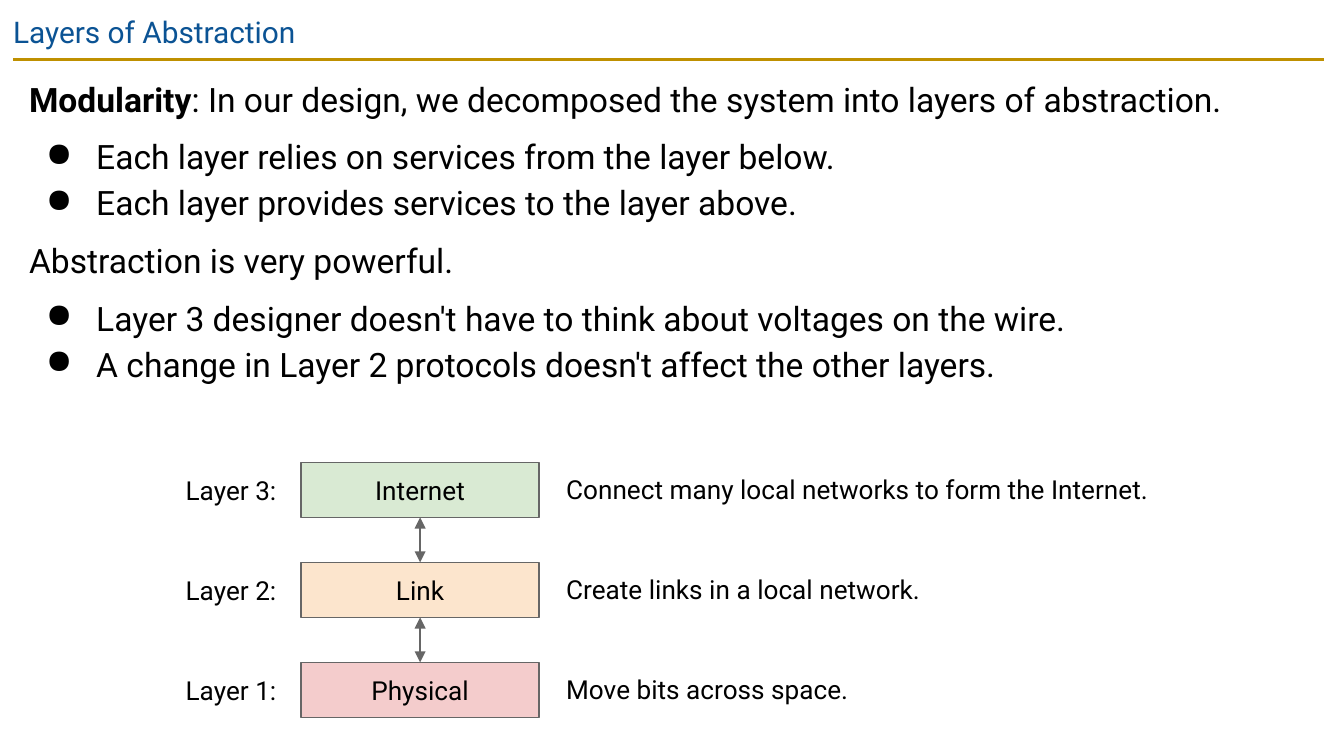
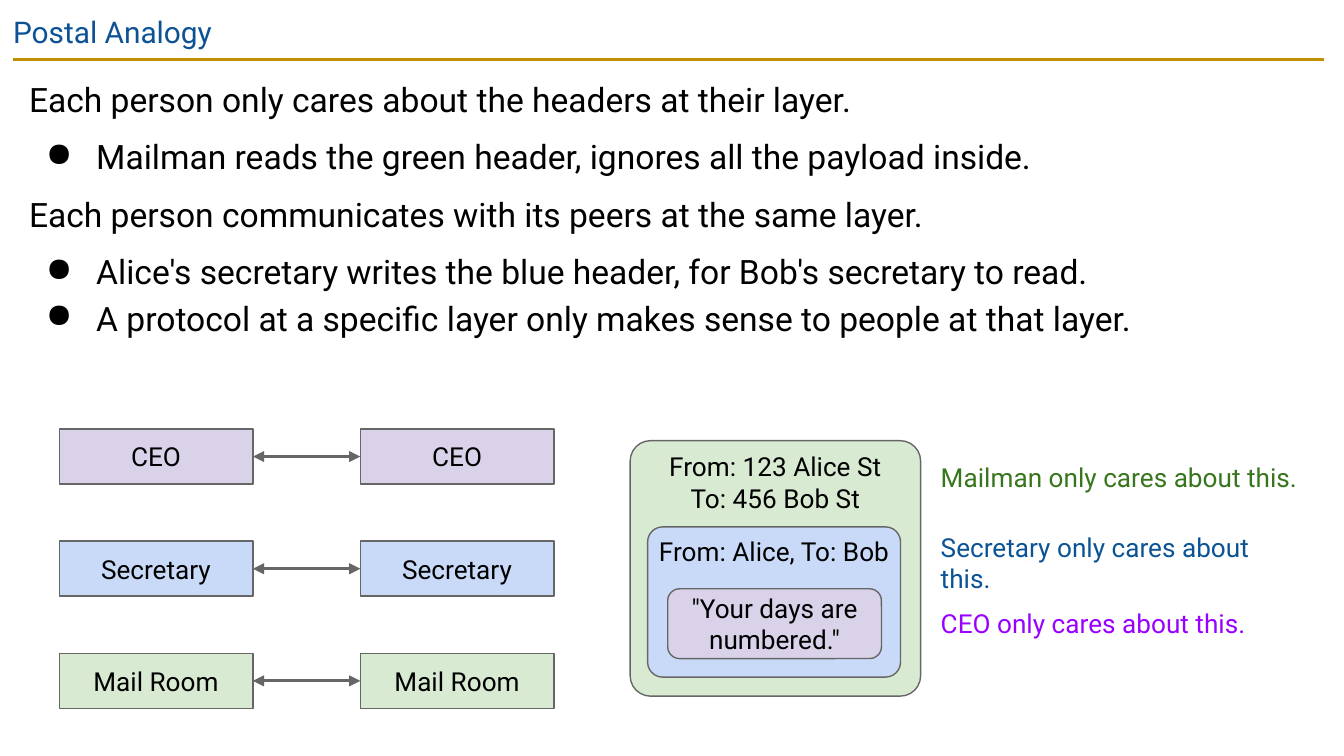
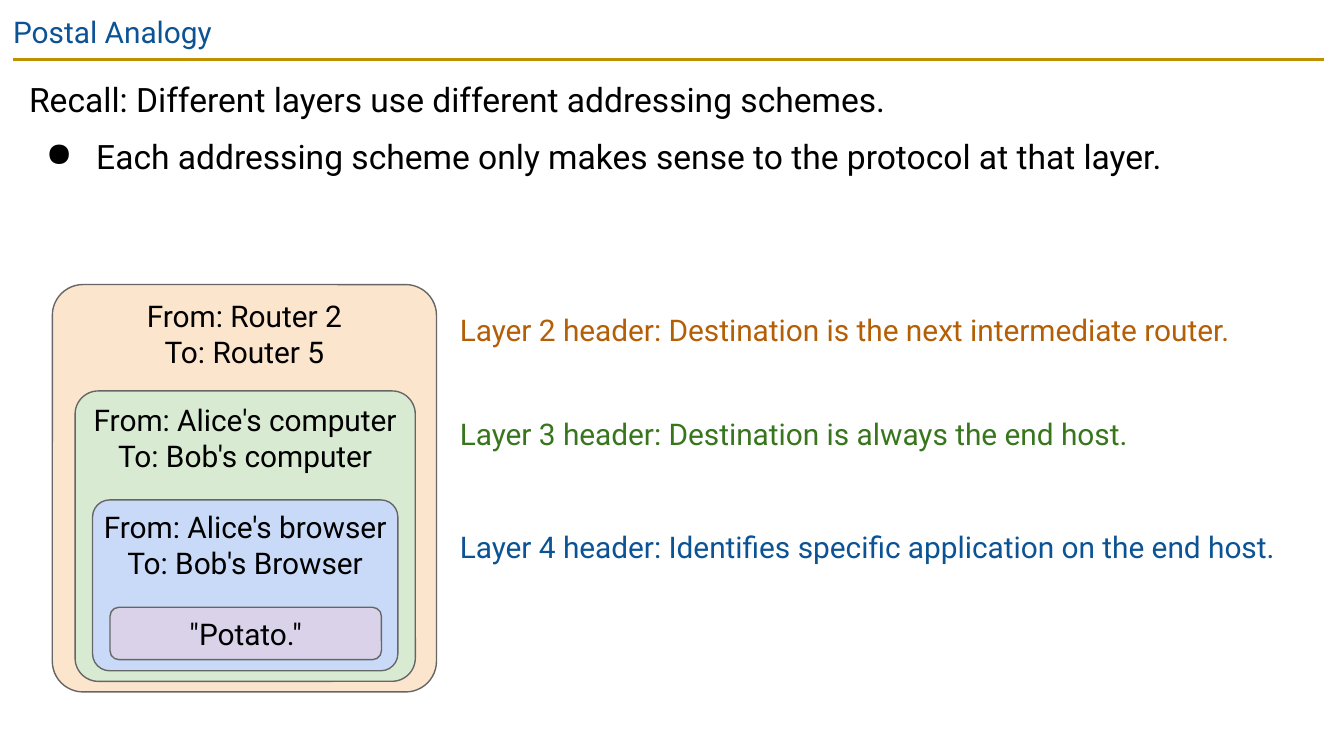
from lxml.etree import SubElement as Sub
from pptx import Presentation
from pptx.dml.color import RGBColor as Rgb
from pptx.enum.shapes import MSO_CONNECTOR as Link, MSO_SHAPE as Shape
from pptx.enum.text import MSO_ANCHOR as Anchor, PP_ALIGN as Align
from pptx.oxml.ns import qn
from pptx.util import Cm, Pt

FONT = "Roboto"
HUES = {
    "ink": "000000", "title": "0B5394", "rule": "BF9000", "edge": "666666",
    "red": "F4CCCC", "peach": "FCE5CD", "green": "D9EAD3",
    "blue": "C9DAF8", "lilac": "D9D2E9",
    "moss": "38761D", "navy": "0B5394", "violet": "9900FF", "rust": "B45F06",
}
WIDE, TIGHT = 0.25, 0.08
BOX_H = 1.04


def hue(name):
    return Rgb.from_string(HUES[name])


def style(para, size, color):
    font = para.font
    font.name, font.size, font.color.rgb = FONT, Pt(size), hue(color)


def pad(frame, inset, anchor=Anchor.TOP):
    frame.word_wrap = True
    frame.vertical_anchor = anchor
    frame.margin_left = frame.margin_right = Cm(inset)
    frame.margin_top = frame.margin_bottom = Cm(inset)


def write(frame, text, size, color="ink", align=Align.LEFT):
    """Fill a frame with one paragraph for each line of text."""
    for i, line in enumerate(text.split("\n")):
        para = frame.add_paragraph() if i else frame.paragraphs[0]
        para.alignment = align
        style(para, size, color)
        para.add_run().text = line


def label(slide, x, y, w, h, text, size, color="ink", inset=TIGHT):
    box = slide.shapes.add_textbox(Cm(x), Cm(y), Cm(w), Cm(h))
    pad(box.text_frame, inset)
    write(box.text_frame, text, size, color)


def block(slide, x, y, w, h, text, fill, size=14, kind=Shape.RECTANGLE,
          inset=WIDE, anchor=Anchor.MIDDLE):
    box = slide.shapes.add_shape(kind, Cm(x), Cm(y), Cm(w), Cm(h))
    box.shadow.inherit = False
    box.fill.solid()
    box.fill.fore_color.rgb = hue(fill)
    box.line.color.rgb = hue("edge")
    box.line.width = Pt(0.75)
    pad(box.text_frame, inset, anchor)
    write(box.text_frame, text, size, align=Align.CENTER)
    return box


def stroke(slide, ends, color, width):
    line = slide.shapes.add_connector(Link.STRAIGHT, *map(Cm, ends))
    line.line.color.rgb = hue(color)
    line.line.width = Pt(width)
    Sub(line.element.spPr, qn("a:effectLst"))
    return line


def join(slide, first, start, last, end, width):
    """Draw a two-headed arrow between sides of two blocks."""
    line = stroke(slide, (0, 0, 0, 0), "edge", width)
    line.begin_connect(first, start)
    line.end_connect(last, end)
    edge = line.element.spPr.find(qn("a:ln"))
    for tag in ("a:headEnd", "a:tailEnd"):
        Sub(edge, qn(tag), type="triangle")


def bullet(para):
    props = para._p.get_or_add_pPr()
    props.set("marL", str(Cm(1.27)))
    props.set("indent", str(Cm(-0.95)))
    Sub(Sub(props, qn("a:buClr")), qn("a:srgbClr"), val=HUES["ink"])
    Sub(props, qn("a:buChar"), char="●")


def body(slide, height, groups):
    """Write each lead line with its bullets; ** ends a bold opening."""
    box = slide.shapes.add_textbox(Cm(0.3), Cm(1.12), Cm(24.74), Cm(height))
    frame = box.text_frame
    pad(frame, WIDE)
    para = frame.paragraphs[0]
    for g, (lead, *items) in enumerate(groups):
        for i, line in enumerate([lead, *items]):
            if g or i:
                para = frame.add_paragraph()
                para.space_before = Pt(6 if i < 2 else 0)
            para.line_spacing = 1.15
            if i:
                bullet(para)
            style(para, 18, "ink")
            strong, mark, rest = line.partition("**")
            para.add_run().text = strong
            if mark:
                para.runs[0].font.bold = True
                para.add_run().text = rest


def page(deck, title, height, groups):
    slide = deck.slides.add_slide(deck.slide_layouts[6])
    stroke(slide, (0.25, 1.12, 25.02, 1.12), "rule", 1.5)
    label(slide, 0, 0, 25.4, 1.09, title, 16, "title", WIDE)
    body(slide, height, groups)
    return slide


def stack(slide, x, y, rows, pitch=1.89):
    """Pile up named layers, each with a number and a note."""
    above = None
    for i, (name, fill, note, width) in enumerate(rows):
        top = y + i * pitch
        box = block(slide, x + 2.26, top, 4.5, BOX_H, name, fill)
        label(slide, x, top + 0.14, 2.06, 0.76, f"Layer {len(rows) - i}:", 14)
        label(slide, x + 7.19, top + 0.13, width, 0.76, note, 14)
        if above:
            join(slide, above, 2, box, 0, 0.75)
        above = box


def peers(slide, x, y, rows, pitch=2.12, gap=5.69):
    for i, (name, fill) in enumerate(rows):
        left, right = (block(slide, x + side * gap, y + i * pitch, 3.66,
                             BOX_H, name, fill) for side in range(2))
        join(slide, left, 3, right, 1, 1.5)


def nest(slide, x, y, size, shells, core=WIDE):
    """Nest envelopes; the last shell holds the message, set mid-height."""
    for i, (dx, dy, w, h, curve, fill, text) in enumerate(shells):
        inner = i == len(shells) - 1
        box = block(slide, x + dx, y + dy, w, h, text, fill, size,
                    Shape.ROUNDED_RECTANGLE, core if inner else TIGHT,
                    Anchor.MIDDLE if inner else Anchor.TOP)
        box.adjustments[0] = curve


def notes(slide, x, y, size, rows):
    for dy, width, color, text in rows:
        label(slide, x, y + dy, width, 0.8, text, size, color)


def layers(deck):
    slide = page(deck, "Layers of Abstraction", 6.45, [
        ("Modularity**: In our design, we decomposed the system into layers of abstraction.",
         "Each layer relies on services from the layer below.",
         "Each layer provides services to the layer above."),
        ("Abstraction is very powerful.",
         "Layer 3 designer doesn't have to think about voltages on the wire.",
         "A change in Layer 2 protocols doesn't affect the other layers."),
    ])
    stack(slide, 3.43, 8.74, [
        ("Internet", "green", "Connect many local networks to form the Internet.", 11.35),
        ("Link", "peach", "Create links in a local network.", 7.01),
        ("Physical", "red", "Move bits across space.", 5.66),
    ])


def people(deck):
    slide = page(deck, "Postal Analogy", 6.02, [
        ("Each person only cares about the headers at their layer.",
         "Mailman reads the green header, ignores all the payload inside."),
        ("Each person communicates with its peers at the same layer.",
         "Alice's secretary writes the blue header, for Bob's secretary to read.",
         "A protocol at a specific layer only makes sense to people at that layer."),
    ])
    peers(slide, 1.12, 8.11, [
        ("CEO", "lilac"), ("Secretary", "blue"), ("Mail Room", "green")])
    nest(slide, 11.91, 8.33, 14, [
        (0, 0, 5.49, 4.83, 0.08, "green", "From: 123 Alice St\nTo: 456 Bob St"),
        (0.33, 1.63, 4.78, 2.84, 0.1, "blue", "From: Alice, To: Bob"),
        (0.71, 2.8, 4.04, 1.32, 0.17, "lilac", '"Your days are numbered."'),
    ])
    notes(slide, 17.7, 8.33, 14, [
        (0.31, 7.04, "moss", "Mailman only cares about this."),
        (1.63, 7.04, "navy", "Secretary only cares about this."),
        (3.07, 7.04, "violet", "CEO only cares about this."),
    ])


def headers(deck):
    slide = page(deck, "Postal Analogy", 3.18, [
        ("Recall: Different layers use different addressing schemes.",
         "Each addressing scheme only makes sense to the protocol at that layer."),
    ])
    nest(slide, 0.99, 5.38, 16, [
        (0, 0, 7.26, 7.7, 0.08, "peach", "From: Router 2\nTo: Router 5"),
        (0.43, 2.01, 6.43, 5.49, 0.08, "green", "From: Alice's computer\nTo: Bob's computer"),
        (0.76, 4.07, 5.77, 3.23, 0.1, "blue", "From: Alice's browser\nTo: Bob's Browser"),
        (1.09, 6.1, 5.13, 0.99, 0.17, "lilac", '"Potato."'),
    ], core=0)
    notes(slide, 8.61, 5.38, 16, [
        (0.44, 14.88, "rust", "Layer 2 header: Destination is the next intermediate router."),
        (2.4, 14.76, "moss", "Layer 3 header: Destination is always the end host."),
        (4.53, 15.72, "navy", "Layer 4 header: Identifies specific application on the end host."),
    ])


def main():
    deck = Presentation()
    deck.slide_width, deck.slide_height = Cm(25.4), Cm(14.29)
    for build in (layers, people, headers):
        build(deck)
    deck.save("out.pptx")


if __name__ == "__main__":
    main()
